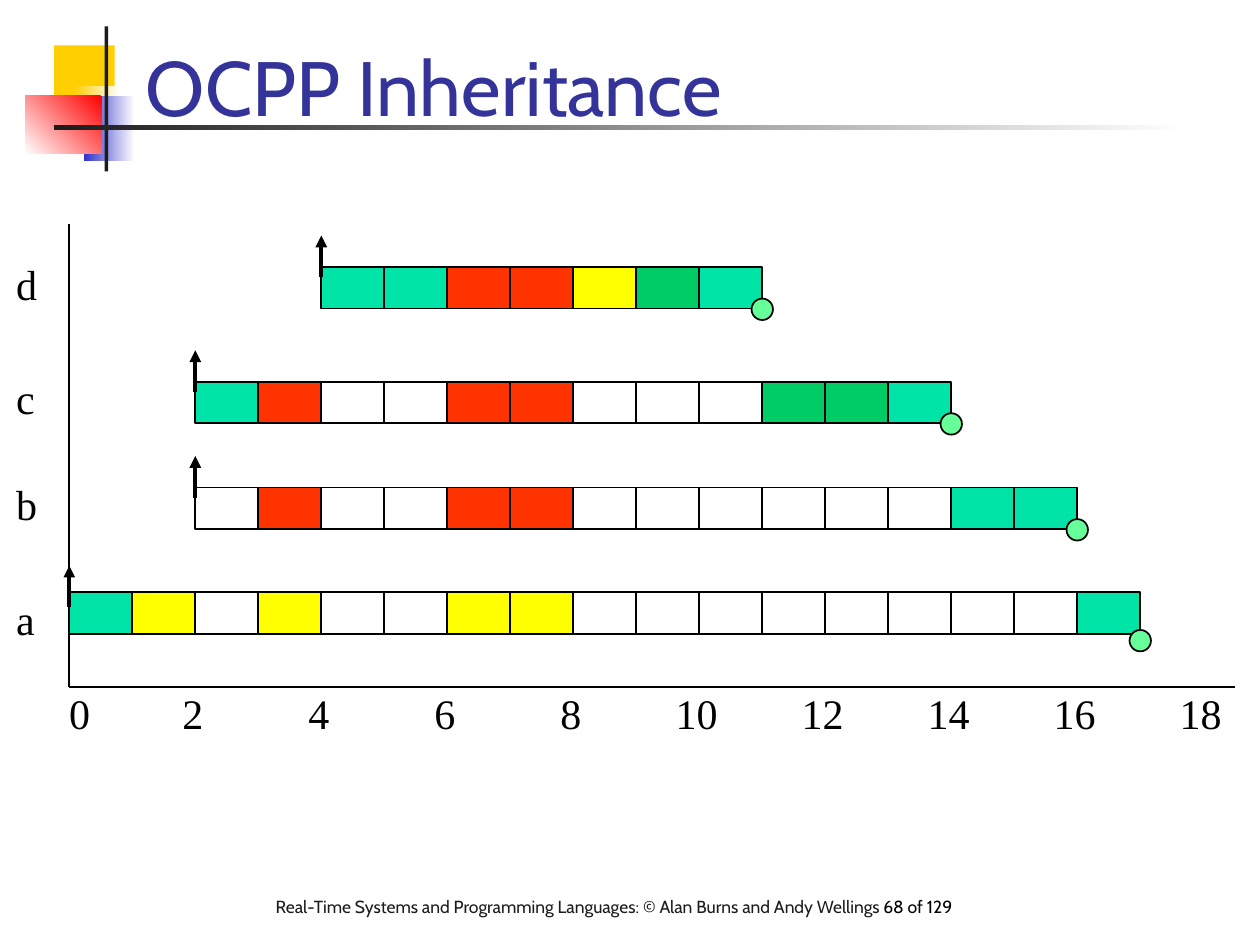
from dataclasses import dataclass
from pptx import Presentation
from pptx.dml.color import RGBColor as Rgb
from pptx.enum.shapes import MSO_CONNECTOR as Conn, MSO_SHAPE as Shape
from pptx.enum.text import MSO_ANCHOR as Anchor
from pptx.oxml import parse_xml
from pptx.oxml.ns import nsdecls
from pptx.util import Inches, Pt

TITLE = "OCPP Inheritance"
FOOTER = [
    ("Real-Time Systems and Programming Languages: © Alan Burns and Andy Wellings ", "1C1C1C"),
    ("68 of 129", "000000"),
]
ROWS = [
    dict(name="a", start=0, cells="TY.Y..YY........T", top=4.7, label=4.66, arrow=4.49, dot=5),
    dict(name="b", start=2, cells=".R..RR......TT", top=3.87, label=3.75, arrow=3.62, dot=4.12),
    dict(name="c", start=2, cells="TR..RR...DDT", top=3.03, label=2.91, arrow=2.78, dot=3.28),
    dict(name="d", start=4, cells="TTRRYDT", top=2.12, label=2, arrow=1.87, dot=2.37),
]
FILLS = {"T": "00E4A8", "Y": "FFFF00", "R": "FF3300", "D": "00CC66", ".": None}
DECOR = [
    ((0.43, 0.36, 0.48, 0.52), "FFCF01", None),
    ((0.59, 0.68, 0.36, 0.52), ("FFFFFF", "FFCF01"), 180),
    ((0.67, 0.76, 0.4, 0.52), ("FFFFFF", "3333CC"), 180),
    ((0.2, 0.76, 0.61, 0.46), ("FF0000", "FFFFFF"), 135),
    ((0.83, 0.21, 0.03, 1.15), "1C1C1C", None),
    ((0.43, 0.99, 9, 0.04), ("FFFFFF", "1C1C1C"), 180),
]


@dataclass(frozen=True)
class Theme:
    ink: str = "000000"
    title: str = "333399"
    dot: str = "66FF99"
    sans: str = "Cabin"
    serif: str = "Times New Roman"
    head: int = 44
    body: int = 24
    foot: int = 10


THEME = Theme()
LEFT, BASE, UNIT, HIGH, DOT = 0.55, 5.45, 0.5, 0.33, 0.17

deck = Presentation()
deck.slide_width, deck.slide_height = Inches(10), Inches(7.5)
slide = deck.slides.add_slide(deck.slide_layouts[6])


def text(runs, box, size=THEME.body, font=THEME.serif, wrap=False, anchor=Anchor.TOP):
    frame = slide.shapes.add_textbox(*map(Inches, box)).text_frame
    frame.word_wrap = wrap
    frame.vertical_anchor = anchor
    para = frame.paragraphs[0]
    for words, color in runs:
        run = para.add_run()
        run.text = words
        run.font.size, run.font.name = Pt(size), font
        run.font.color.rgb = Rgb.from_string(color)


def block(box, fill, angle=None, kind=Shape.RECTANGLE, edge=True):
    shape = slide.shapes.add_shape(kind, *map(Inches, box))
    shape.shadow.inherit = False
    if fill is None:
        shape.fill.background()
    elif angle is None:
        shape.fill.solid()
        shape.fill.fore_color.rgb = Rgb.from_string(fill)
    else:
        shape.fill.gradient()
        shape.fill.gradient_angle = 360 - angle
        for stop, color in zip(shape.fill.gradient_stops, fill):
            stop.color.rgb = Rgb.from_string(color)
    if edge:
        shape.line.color.rgb = Rgb.from_string(THEME.ink)
        shape.line.width = Pt(1)
    else:
        shape.line.fill.background()


def line(x1, y1, x2, y2, width=1, head=False):
    link = slide.shapes.add_connector(Conn.STRAIGHT, *map(Inches, (x1, y1, x2, y2)))
    link.line.color.rgb = Rgb.from_string(THEME.ink)
    link.line.width = Pt(width)
    if head:
        link.line._get_or_add_ln().append(
            parse_xml(f'<a:headEnd {nsdecls("a")} type="triangle"/>'))
    link._element.spPr.append(parse_xml(f'<a:effectLst {nsdecls("a")}/>'))


def place(slot):
    return LEFT + UNIT * slot


for box, fill, angle in DECOR:
    block(box, fill, angle, edge=False)
text(FOOTER, (2.09, 7.06, 6.06, 0.46), size=THEME.foot, font=THEME.sans, wrap=True)
text([(TITLE, THEME.title)], (1.06, 0.13, 8.52, 0.97), size=THEME.head,
     font=THEME.sans, wrap=True, anchor=Anchor.BOTTOM)

line(LEFT, 1.78, LEFT, BASE)
line(LEFT, BASE, 9.8, BASE)
for tick in range(0, 19, 2):
    wide = 0.36 if tick < 10 else 0.53
    left = max(0.45, place(tick) - 0.02 - wide / 2)
    text([(str(tick), THEME.ink)], (left, 5.41, wide, 0.5))

for row in ROWS:
    start, end = row["start"], row["start"] + len(row["cells"])
    text([(row["name"], THEME.ink)], (0.03, row["label"], 0.36, 0.5))
    for slot, code in enumerate(row["cells"], start):
        block((place(slot), row["top"], UNIT, HIGH), FILLS[code])
    line(place(start), row["arrow"], place(start), row["arrow"] + HIGH, width=2.25, head=True)
    block((place(end) - DOT / 2, row["dot"], DOT, DOT), THEME.dot, kind=Shape.OVAL)

deck.save("out.pptx")
